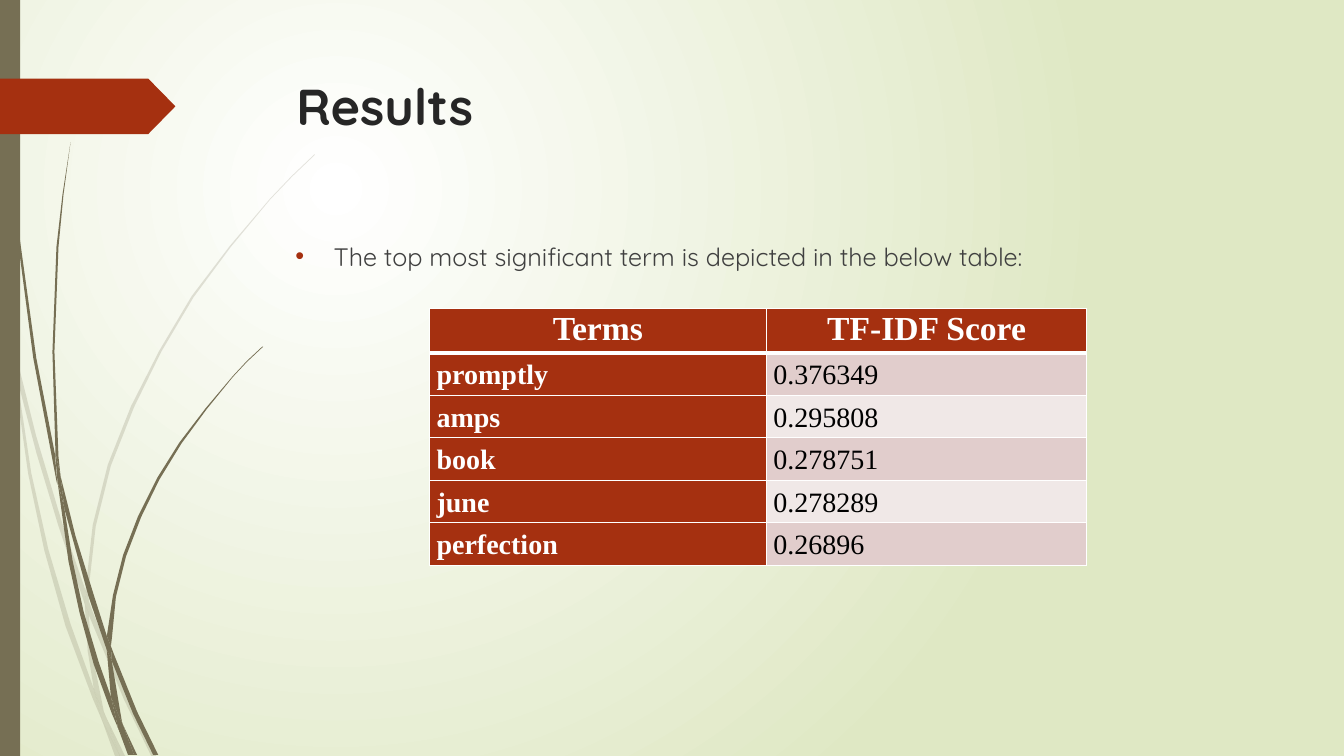
from dataclasses import dataclass

from lxml.etree import SubElement
from pptx import Presentation
from pptx.dml.color import RGBColor
from pptx.enum.shapes import MSO_SHAPE
from pptx.enum.text import MSO_ANCHOR, PP_ALIGN
from pptx.oxml import parse_xml
from pptx.oxml.ns import nsdecls, qn
from pptx.util import Inches, Pt


@dataclass(frozen=True)
class Theme:
    accent: str = "A53010"
    stem: str = "766F54"
    glow: str = "FFFFFF"
    ground: str = "DFE8C4"
    title: str = "262626"
    body: str = "404040"
    white: str = "FFFFFF"
    black: str = "000000"
    bands: tuple = ("E1CDCC", "F0E8E7")
    font: str = "Quicksand"
    table_font: str = "Times New Roman"
    title_size: int = 36
    body_size: int = 18
    header_size: int = 24
    cell_size: int = 20


@dataclass(frozen=True)
class Box:
    left: float
    top: float
    width: float
    height: float

    def inches(self):
        return [Inches(v) for v in (self.left, self.top, self.width, self.height)]


THEME = Theme()

# Outlines of the blades that make up each tuft of grass, in inches.
PALE_TUFT = [
    [(0.11, 3.5), (0.09, 3.22), (0, 2.82), (0, 2.99), (0.1, 3.44)],
    [(0.58, 5.22), (0.84, 5.99), (0.85, 5.86), (0.62, 5.2), (0.36, 4.33),
     (0.14, 3.45), (0.17, 3.76), (0.36, 4.49)],
    [(0.92, 6.07), (0.88, 5.96), (0.88, 6.1), (1.23, 6.94), (1.5, 7.51),
     (1.55, 7.51), (1.27, 6.92)],
    [(1.19, 7.51), (1.24, 7.51), (1.05, 7.11)],
    [(0.93, 6.83), (0.7, 6.19), (0.48, 5.45), (0.31, 4.69), (0.17, 3.76),
     (0.11, 3.5), (0.28, 4.7), (0.44, 5.46), (0.65, 6.21), (0.92, 6.93),
     (1.01, 7.14), (0.99, 7.07)],
    [(0.84, 5.99), (0.87, 6.46), (0.93, 6.83), (0.96, 6.92), (1.05, 7.11),
     (1.03, 7.06), (0.91, 6.46), (0.88, 6.1), (0.88, 6.08)],
    [(0.88, 5.84), (0.95, 5.22), (1.1, 4.62), (1.33, 4.04), (1.6, 3.49),
     (1.92, 2.95), (2.29, 2.45), (2.68, 1.98), (2.9, 1.75), (3.12, 1.54),
     (3.12, 1.53), (2.89, 1.75), (2.68, 1.97), (2.28, 2.44), (1.9, 2.94),
     (1.58, 3.48), (1.3, 4.03), (1.07, 4.61), (0.92, 5.21), (0.85, 5.84),
     (0.85, 5.86), (0.88, 5.96)],
    [(1.01, 7.14), (1.14, 7.51), (1.19, 7.51)],
    [(0.88, 6.08), (0.88, 6.1), (0.88, 5.96), (0.85, 5.86), (0.84, 5.99)],
    [(0.96, 6.92), (0.93, 6.83), (0.99, 7.07), (1.01, 7.14), (1.19, 7.51),
     (1.05, 7.11)],
]
DARK_TUFT = [
    [(0.07, 1.1), (0.17, 2.33), (0.33, 3.55), (0.56, 4.77), (0.57, 4.81),
     (0.55, 4.57), (0.55, 4.53), (0.36, 3.55), (0.19, 2.32), (0.08, 1.09),
     (0.05, 0.48), (0.04, 0), (0.03, 0), (0.04, 0.48)],
    [(0.88, 5.92), (1.06, 6.45), (1.06, 6.33), (1.06, 6.31), (0.93, 5.9),
     (0.75, 5.32), (0.6, 4.72), (0.64, 5.05)],
    [(1.13, 6.49), (1.1, 6.41), (1.11, 6.56), (1.32, 7.08), (1.52, 7.49),
     (1.57, 7.49), (1.36, 7.06)],
    [(1.1, 6.91), (0.98, 6.57), (0.83, 6.07), (0.72, 5.56), (0.64, 5.05),
     (0.57, 4.77), (0.68, 5.57), (0.79, 6.08), (0.93, 6.59), (1.11, 7.08),
     (1.17, 7.22), (1.16, 7.17)],
    [(0.6, 4.72), (0.58, 4.53), (0.54, 3.49), (0.58, 2.45), (0.63, 1.93),
     (0.7, 1.41), (0.62, 1.93), (0.56, 2.45), (0.52, 3.49), (0.55, 4.49)],
    [(1.33, 7.49), (1.36, 7.49), (1.22, 7.19)],
    [(0.57, 4.77), (0.64, 5.05), (0.6, 4.72), (0.55, 4.49), (0.55, 4.53)],
    [(1.11, 6.33), (1.15, 5.92), (1.25, 5.52), (1.4, 5.13), (1.58, 4.76),
     (1.8, 4.4), (2.05, 4.06), (2.31, 3.74), (2.45, 3.59), (2.61, 3.44),
     (2.6, 3.44), (2.45, 3.58), (2.31, 3.73), (2.04, 4.05), (1.78, 4.39),
     (1.56, 4.74), (1.37, 5.12), (1.22, 5.51), (1.12, 5.91), (1.06, 6.31),
     (1.1, 6.41)],
    [(1.17, 7.22), (1.27, 7.49), (1.31, 7.49)],
    [(1.06, 6.45), (1.1, 6.91), (1.16, 7.06), (1.22, 7.19), (1.21, 7.16),
     (1.11, 6.56), (1.09, 6.51)],
    [(1.06, 6.45), (1.09, 6.51), (1.11, 6.56), (1.1, 6.41), (1.06, 6.31),
     (1.06, 6.33)],
    [(1.16, 7.06), (1.1, 6.91), (1.16, 7.17), (1.17, 7.22), (1.3, 7.49),
     (1.33, 7.49), (1.22, 7.19)],
]


def rgb(value):
    return RGBColor.from_string(value)


def style_runs(paragraph, font, size, color, bold=False):
    for run in paragraph.runs:
        run.font.name = font
        run.font.size = Pt(size)
        run.font.color.rgb = rgb(color)
        run.font.bold = bold


def paint(shape, color):
    shape.shadow.inherit = False
    shape.fill.solid()
    shape.fill.fore_color.rgb = rgb(color)
    shape.line.fill.background()


def add_tuft(slide, box, blades, opacity=100):
    for blade_points in blades:
        outline = [(Inches(box.left + x), Inches(box.top + min(y, box.height)))
                   for x, y in blade_points]
        builder = slide.shapes.build_freeform(*outline[0])
        builder.add_line_segments(outline[1:], close=True)
        blade = builder.convert_to_shape()
        paint(blade, THEME.stem)
        if opacity < 100:
            color = blade.fill._xPr.find(qn("a:solidFill"))[0]
            SubElement(color, qn("a:alpha"), val=str(opacity * 1000))


def add_side_decoration(slide, box):
    add_tuft(slide, box, PALE_TUFT, opacity=20)
    add_tuft(slide, box, DARK_TUFT)
    bar = Box(box.left, box.top, 0.2, box.height)
    paint(slide.shapes.add_shape(MSO_SHAPE.RECTANGLE, *bar.inches()), THEME.stem)
    tag_box = Box(box.left, box.top + 0.78, 1.74, 0.55)
    tag = slide.shapes.add_shape(MSO_SHAPE.PENTAGON, *tag_box.inches())
    tag.adjustments[0] = 0.49
    paint(tag, THEME.accent)


def set_background(slide):
    fill = slide.background.fill
    fill.gradient()
    for position, (stop, color) in enumerate(
            zip(fill.gradient_stops, (THEME.glow, THEME.ground))):
        stop.color.rgb = rgb(color)
        stop.position = position
    gradient = slide.background._cSld.bg.bgPr.find(qn("a:gradFill"))
    gradient.replace(gradient.find(qn("a:lin")), parse_xml(
        f'<a:path {nsdecls("a")} path="circle">'
        '<a:fillToRect l="50000" t="50000" r="100000" b="100000"/></a:path>'))


def set_title(slide, box, text):
    title = slide.shapes.title
    title.left, title.top, title.width, title.height = box.inches()
    frame = title.text_frame
    frame.text = text
    frame.vertical_anchor = MSO_ANCHOR.TOP
    frame.paragraphs[0].alignment = PP_ALIGN.LEFT
    style_runs(frame.paragraphs[0], THEME.font, THEME.title_size, THEME.title, True)


def add_bullet(slide, box, text):
    frame = slide.shapes.add_textbox(*box.inches()).text_frame
    frame.word_wrap = True
    frame.text = text
    paragraph = frame.paragraphs[0]
    style_runs(paragraph, THEME.font, THEME.body_size, THEME.body)
    props = paragraph._p.get_or_add_pPr()
    props.set("marL", str(Inches(0.38)))
    props.set("indent", str(Inches(-0.38)))
    SubElement(SubElement(props, qn("a:buClr")), qn("a:srgbClr"), val=THEME.accent)
    SubElement(props, qn("a:buFont"), typeface="Arial")
    SubElement(props, qn("a:buChar"), char="•")


def set_borders(cell, top, bottom):
    props = cell._tc.get_or_add_tcPr()
    for i, (side, width) in enumerate(zip("LRTB", (1, 1, top, bottom))):
        props.insert(i, parse_xml(
            f'<a:ln{side} {nsdecls("a")} w="{Pt(width)}"><a:solidFill>'
            f'<a:srgbClr val="{THEME.white}"/></a:solidFill></a:ln{side}>'))


def add_score_table(slide, box, rows):
    table = slide.shapes.add_table(len(rows), 2, *box.inches()).table
    for column, width in zip(table.columns, (3.34, box.width - 3.34)):
        column.width = Inches(width)
    header_height = 0.44
    score_height = (box.height - header_height) / (len(rows) - 1)
    for r, row in enumerate(rows):
        header = r == 0
        table.rows[r].height = Inches(header_height if header else score_height)
        for c, text in enumerate(row):
            cell = table.cell(r, c)
            label = header or c == 0
            cell.fill.solid()
            cell.fill.fore_color.rgb = rgb(THEME.accent if label else THEME.bands[(r - 1) % 2])
            cell.margin_left = cell.margin_right = Inches(0.07)
            cell.margin_top = cell.margin_bottom = 0
            cell.vertical_anchor = MSO_ANCHOR.TOP if header else MSO_ANCHOR.MIDDLE
            set_borders(cell, top=3 if r == 1 else 1, bottom=3 if header else 1)
            cell.text_frame.text = text
            paragraph = cell.text_frame.paragraphs[0]
            paragraph.alignment = PP_ALIGN.CENTER if header else PP_ALIGN.JUSTIFY
            paragraph.line_spacing = 1.07
            paragraph.space_after = Pt(8)
            style_runs(paragraph, THEME.table_font,
                       THEME.header_size if header else THEME.cell_size,
                       THEME.white if label else THEME.black, label)


def main():
    prs = Presentation()
    prs.slide_width, prs.slide_height = Inches(13.33), Inches(7.5)
    slide = prs.slides.add_slide(prs.slide_layouts[5])
    set_background(slide)
    add_side_decoration(slide, Box(0, 0, 3.12, 7.5))
    set_title(slide, Box(2.84, 0.69, 9.75, 1.4), "Results")
    add_bullet(slide, Box(2.83, 2.34, 9.75, 4.13),
               "The top most significant term is depicted in the below table:")
    add_score_table(slide, Box(4.26, 3.06, 6.52, 2.55), [
        ("Terms", "TF-IDF Score"), ("promptly", "0.376349"), ("amps", "0.295808"),
        ("book", "0.278751"), ("june", "0.278289"), ("perfection", "0.26896")])
    prs.save("out.pptx")


if __name__ == "__main__":
    main()
